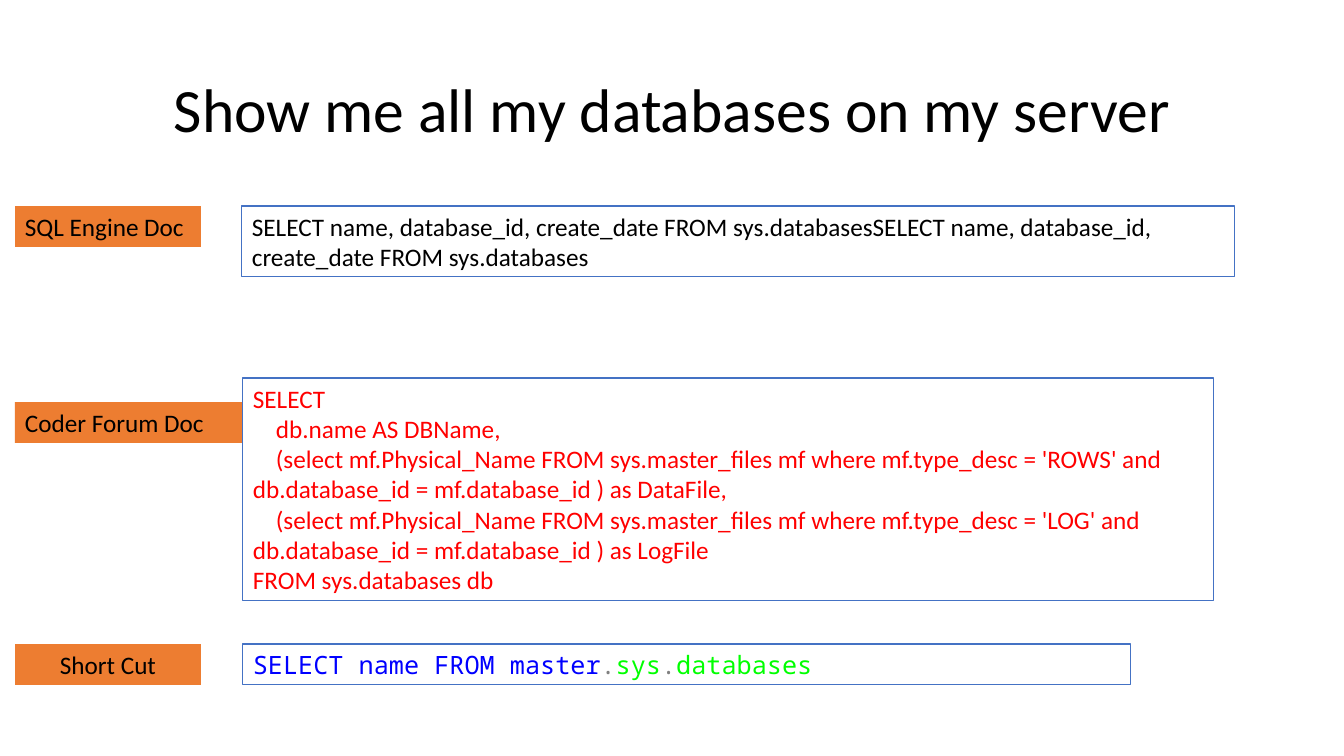
import pptx
import pptx.dml.color
import pptx.enum.text
import pptx.util
from dataclasses import dataclass


@dataclass(frozen=True)
class Theme:
    """Colours, fonts and type sizes of the slide."""
    text: str = "000000"
    warning: str = "FF0000"
    keyword: str = "0000FF"
    punctuation: str = "808080"
    system: str = "00FF00"
    label_fill: str = "ED7D31"
    outline: str = "4472C4"
    font: str = "Calibri"
    code_font: str = "Noto Sans Mono"
    title_size: int = 44
    body_size: int = 18
    outline_width: float = 0.75


theme = Theme()
EMU_PER_PIXEL = 914400 / 100.8
LEFT, CENTER = pptx.enum.text.PP_ALIGN.LEFT, pptx.enum.text.PP_ALIGN.CENTER
rgb = pptx.dml.color.RGBColor.from_string


def pixels(length):
    """Turn a length in pixels into EMU."""
    return pptx.util.Emu(round(length * EMU_PER_PIXEL))


def add_text(slide, box, lines, size=theme.body_size, font=theme.font, alignment=LEFT):
    """Add a text box; each line is an indent in pixels and a list of (text, colour) runs."""
    shape = slide.shapes.add_textbox(*map(pixels, box))
    frame = shape.text_frame
    frame.word_wrap = True
    for number, (indent, runs) in enumerate(lines):
        paragraph = frame.add_paragraph() if number else frame.paragraphs[0]
        paragraph.alignment = alignment
        if indent:
            paragraph._p.get_or_add_pPr().set("indent", str(pixels(indent)))
        for text, color in runs:
            run = paragraph.add_run()
            run.text = text
            run.font.name = font
            run.font.size = pptx.util.Pt(size)
            run.font.color.rgb = rgb(color)
    return shape


presentation = pptx.Presentation()
presentation.slide_width = pixels(1344)
presentation.slide_height = pixels(756)
slide = presentation.slides.add_slide(presentation.slide_layouts[6])

title = add_text(slide, (93, 40, 1159, 146),
                 [(0, [("Show me all my databases on my server", theme.text)])],
                 size=theme.title_size, alignment=CENTER)
title.text_frame.vertical_anchor = pptx.enum.text.MSO_ANCHOR.MIDDLE
title.text_frame.paragraphs[0].line_spacing = 0.9

# Queries: box, font, lines
file_query = ("(select mf.Physical_Name FROM sys.master_files mf where mf.type_desc = '{}' "
              "and db.database_id = mf.database_id ) as {}")
long_query = [
    (0, "SELECT"),
    (23, "db.name AS DBName,"),
    (23, file_query.format("ROWS", "DataFile,")),
    (23, file_query.format("LOG", "LogFile")),
    (0, "FROM sys.databases db"),
]
short_query = [
    ("SELECT", theme.keyword), (" ", theme.text),
    ("name", theme.keyword), (" ", theme.text),
    ("FROM", theme.keyword), (" ", theme.text),
    ("master", theme.keyword), (".", theme.punctuation),
    ("sys", theme.system), (".", theme.punctuation),
    ("databases", theme.system),
]
documented_query = "SELECT name, database_id, create_date FROM sys.databases" * 2
queries = [
    ((243, 378, 971, 223), theme.font,
     [(indent, [(text, theme.warning)]) for indent, text in long_query]),
    ((242, 206, 993, 71), theme.font, [(0, [(documented_query, theme.text)])]),
    ((243, 644, 888, 41), theme.code_font, [(0, short_query)]),
]
for box, font, lines in queries:
    query = add_text(slide, box, lines, font=font)
    query.text_frame.auto_size = pptx.enum.text.MSO_AUTO_SIZE.SHAPE_TO_FIT_TEXT
    query.line.color.rgb = rgb(theme.outline)
    query.line.width = pptx.util.Pt(theme.outline_width)

# Labels: text, top, width, alignment
labels = [
    ("SQL Engine Doc", 206, 186, LEFT),
    ("Coder Forum Doc", 402, 227, LEFT),
    ("Short Cut", 644, 186, CENTER),
]
for text, top, width, alignment in labels:
    label = add_text(slide, (15, top, width, 41), [(0, [(text, theme.text)])],
                     alignment=alignment)
    label.text_frame.auto_size = pptx.enum.text.MSO_AUTO_SIZE.SHAPE_TO_FIT_TEXT
    label.fill.solid()
    label.fill.fore_color.rgb = rgb(theme.label_fill)

presentation.save("out.pptx")
